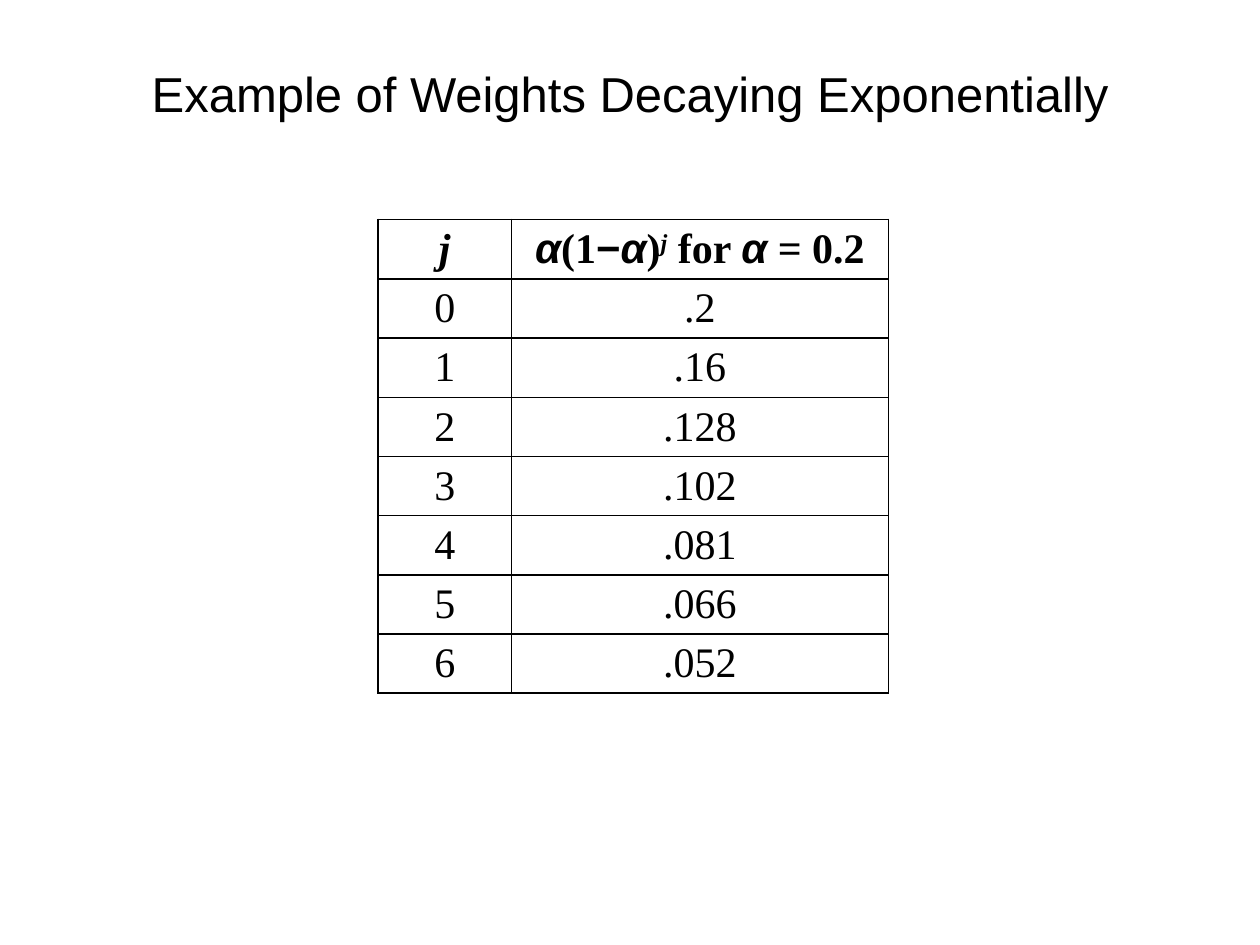
"""Build a slide with a table of exponentially decaying weights."""
from pptx import Presentation
from pptx.dml.color import RGBColor
from pptx.enum.text import MSO_ANCHOR as Anchor, PP_ALIGN as Align
from pptx.oxml import parse_xml
from pptx.oxml.ns import nsdecls
from pptx.util import Inches, Pt

BLACK = RGBColor(0, 0, 0)
SANS, SERIF = "Arial", "Times New Roman"

TITLE = "Example of Weights Decaying Exponentially"
ALPHA = ("α", SANS, True, False)
HEADERS = [
    [("j", SERIF, True, False)],
    [
        ALPHA,
        ("(1", SERIF, False, False),
        ("−", SANS, False, False),
        ALPHA,
        (")", SERIF, False, False),
        ("j", SERIF, True, True),
        (" for ", SERIF, False, False),
        ALPHA,
        (" = 0.2", SERIF, False, False),
    ],
]
WEIGHTS = [".2", ".16", ".128", ".102", ".081", ".066", ".052"]
COLUMN_WIDTHS = [1.06, 2.99]
ROW_HEIGHT = 0.47


def style_font(font, size, name=None, bold=False):
    font.size, font.bold = Pt(size), bold
    font.color.rgb = BLACK
    if name:
        font.name = name


def add_borders(cell):
    properties = cell._tc.get_or_add_tcPr()
    for position, side in enumerate(("lnL", "lnR", "lnT", "lnB")):
        properties.insert(position, parse_xml(
            f'<a:{side} {nsdecls("a")} w="{Pt(1)}"><a:solidFill>'
            f'<a:srgbClr val="{BLACK}"/></a:solidFill></a:{side}>'))


def fill_cell(cell, spans, bold):
    cell.fill.background()
    cell.vertical_anchor = Anchor.BOTTOM
    para = cell.text_frame.paragraphs[0]
    para.alignment = Align.CENTER
    style_font(para.font, 24, bold=bold)
    for text, name, italic, raised in spans:
        span = para.add_run()
        span.text = text
        style_font(span.font, 24, name, bold)
        span.font.italic = italic
        if raised:
            span.font._element.set("baseline", "30000")
    add_borders(cell)


deck = Presentation()
deck.slide_width, deck.slide_height = Inches(10), Inches(7.5)
page = deck.slides.add_slide(deck.slide_layouts[5])

title = page.shapes.title
title.left, title.top = Inches(0.5), Inches(0.3)
title.width, title.height = Inches(9), Inches(0.87)
title.text_frame.text = TITLE
title.text_frame.vertical_anchor = Anchor.MIDDLE
heading = title.text_frame.paragraphs[0]
heading.alignment = Align.CENTER
style_font(heading.font, 28, SANS)

rows = [HEADERS] + [
    [[(text, SERIF, False, False)] for text in (str(j), weight)]
    for j, weight in enumerate(WEIGHTS)
]
table = page.shapes.add_table(
    len(rows), len(COLUMN_WIDTHS), Inches(3), Inches(1.74),
    Inches(sum(COLUMN_WIDTHS)), Inches(ROW_HEIGHT * len(rows))).table
table.first_row = table.horz_banding = False
for column, width in zip(table.columns, COLUMN_WIDTHS):
    column.width = Inches(width)
for row_index, row in enumerate(rows):
    table.rows[row_index].height = Inches(ROW_HEIGHT)
    for column_index, spans in enumerate(row):
        fill_cell(table.cell(row_index, column_index), spans, row_index == 0)

deck.save("out.pptx")
